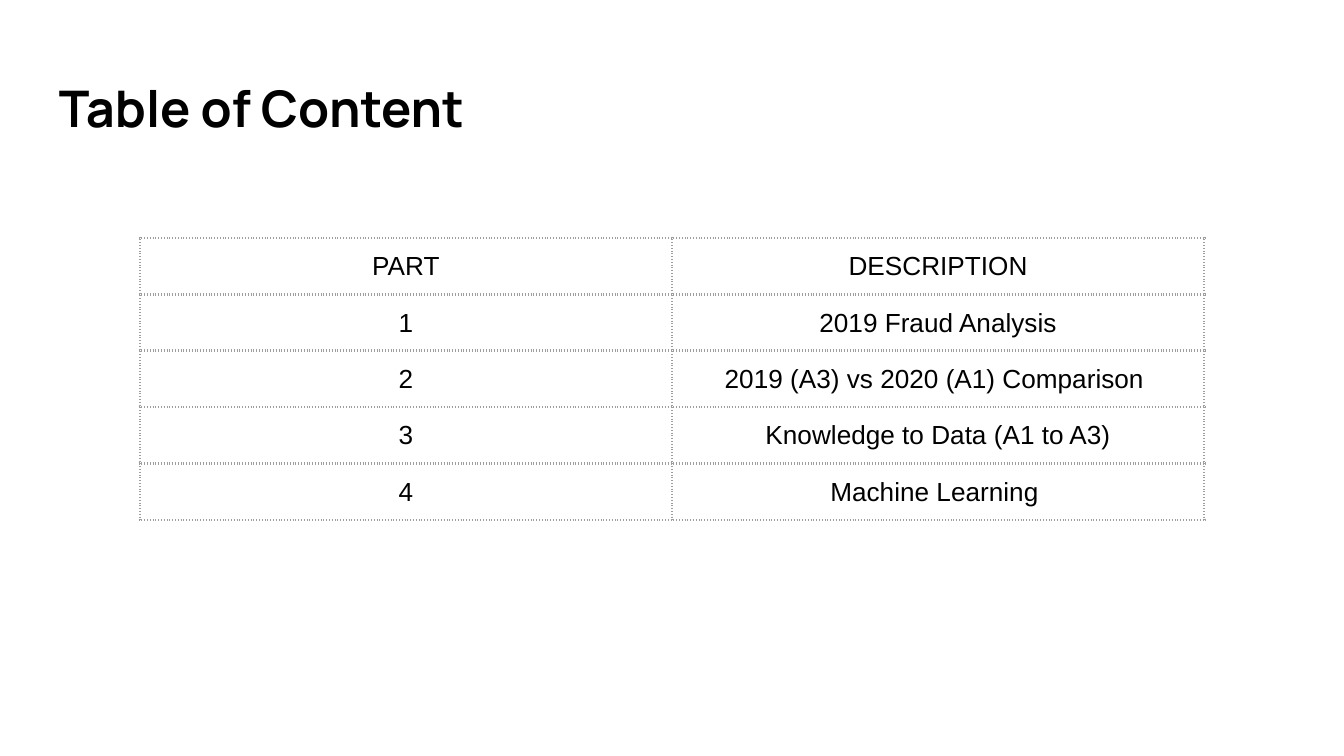
from pptx import Presentation
from pptx.dml.color import RGBColor
from pptx.enum.text import MSO_ANCHOR, PP_ALIGN
from pptx.oxml.ns import qn
from pptx.util import Pt
from lxml.etree import SubElement

SCALE = 4572


def px(n):
    return n * SCALE


def color(code):
    return RGBColor.from_string(code)


class Deck:
    ink = "000000"
    rule = "9E9E9E"
    inset = 20

    def __init__(self, width, height):
        self.prs = Presentation()
        self.prs.slide_width = px(width)
        self.prs.slide_height = px(height)
        self.slide = self.prs.slides.add_slide(self.prs.slide_layouts[6])

    def style(self, frame, face, size, bold=False, align=PP_ALIGN.LEFT):
        for para in frame.paragraphs:
            para.alignment = align
            for run in para.runs:
                run.font.name = face
                run.font.size = Pt(size)
                run.font.bold = bold
                run.font.color.rgb = color(self.ink)

    def pad(self, box, top, bottom):
        box.margin_left = box.margin_right = px(self.inset)
        box.margin_top = px(top)
        box.margin_bottom = px(bottom)

    def title(self, text, left, top, width, height):
        box = self.slide.shapes.add_textbox(px(left), px(top), px(width), px(height))
        frame = box.text_frame
        frame.word_wrap = True
        frame.vertical_anchor = MSO_ANCHOR.TOP
        self.pad(frame, 16, 20)
        frame.text = text
        self.style(frame, "Manrope", 27, bold=True)

    def border(self, cell):
        props = cell._tc.get_or_add_tcPr()
        for at, side in enumerate(("lnL", "lnR", "lnT", "lnB")):
            line = SubElement(props, qn(f"a:{side}"), w=str(Pt(1.5)))
            fill = SubElement(line, qn("a:solidFill"))
            SubElement(fill, qn("a:srgbClr"), val=self.rule)
            SubElement(line, qn("a:prstDash"), val="dot")
            props.insert(at, line)

    def table(self, rows, left, top, wide, high):
        count, span = len(rows), len(rows[0])
        grid = self.slide.shapes.add_table(
            count, span, px(left), px(top), px(wide * span), px(high * count)
        ).table
        grid.first_row = False
        grid.horz_banding = False
        for r, row in enumerate(rows):
            for c, text in enumerate(row):
                cell = grid.cell(r, c)
                cell.fill.background()
                self.pad(cell, 21, 16)
                cell.text_frame.text = text
                self.style(cell.text_frame, "Arial", 14, align=PP_ALIGN.CENTER)
                self.border(cell)


ROWS = [
    ("PART", "DESCRIPTION"),
    ("1", "2019 Fraud Analysis"),
    ("2", "2019 (A3) vs 2020 (A1) Comparison "),
    ("3", "Knowledge to Data (A1 to A3)"),
    ("4", "Machine Learning "),
]

deck = Deck(2000, 1125)
deck.title("Table of Content", 68, 98, 1864, 136)
deck.table(ROWS, 208, 354, 792, 84)
deck.prs.save("out.pptx")
